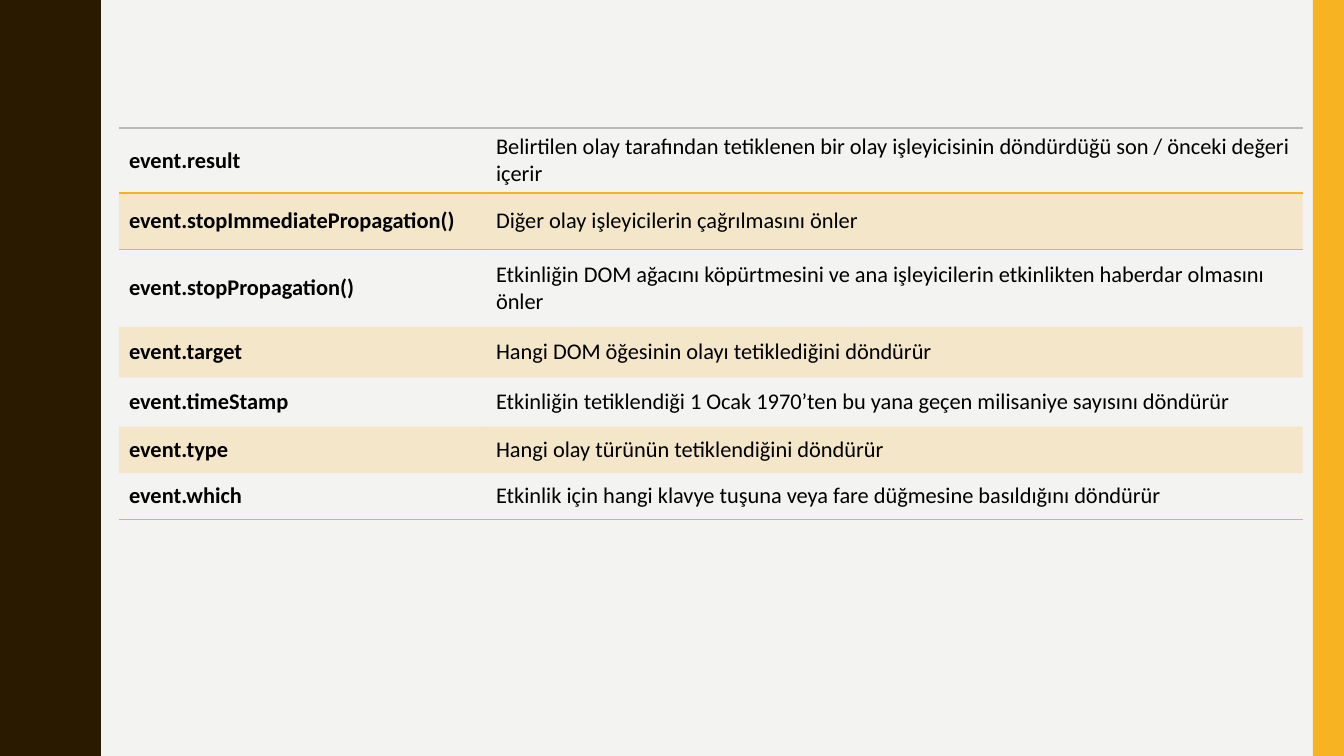
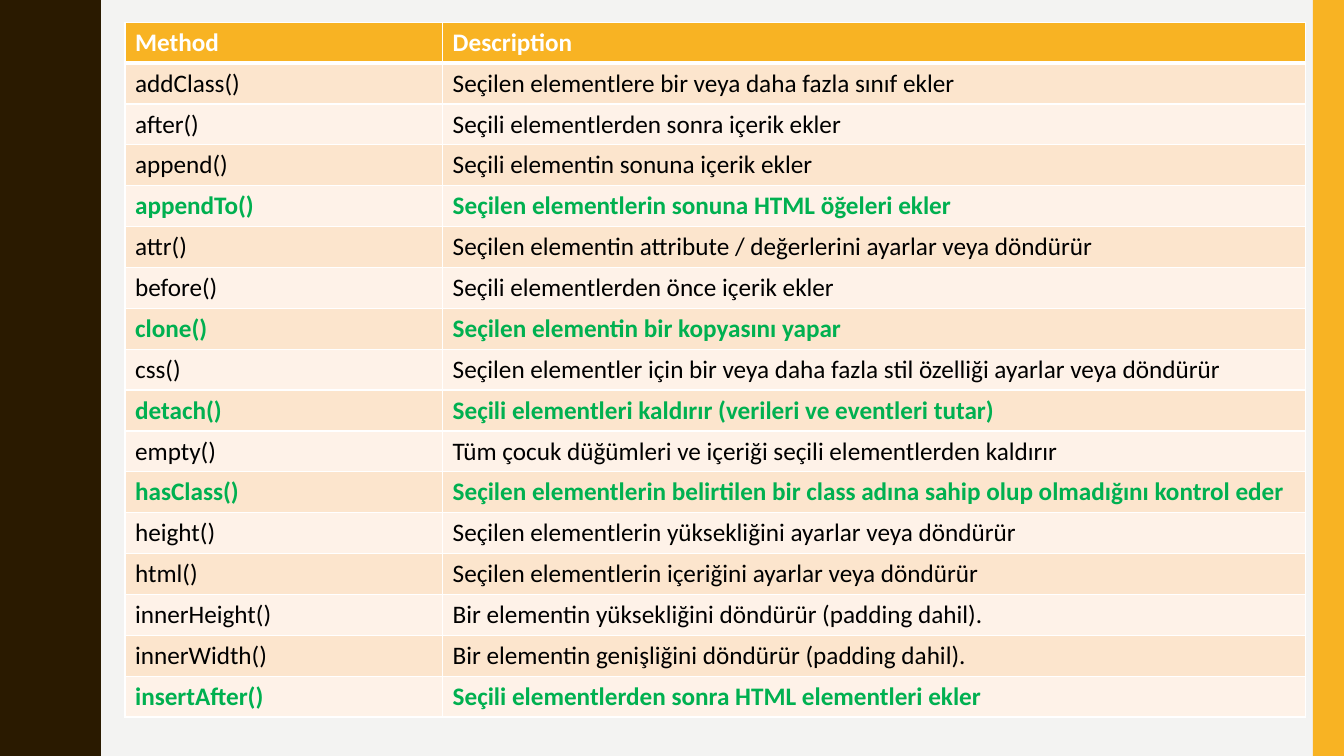
"""Build two reference slides: event members and HTML methods."""
from lxml import etree
from pptx import Presentation
from pptx.dml.color import RGBColor
from pptx.enum import shapes, text
from pptx.oxml import ns
from pptx.util import Inches, Pt

EVENTS = [
    ("event.result", "Belirtilen olay tarafından tetiklenen bir olay işleyicisinin döndürdüğü son / önceki değeri içerir"),
    ("event.stopImmediatePropagation()", "Diğer olay işleyicilerin çağrılmasını önler"),
    ("event.stopPropagation()", "Etkinliğin DOM ağacını köpürtmesini ve ana işleyicilerin etkinlikten haberdar olmasını önler"),
    ("event.target", "Hangi DOM öğesinin olayı tetiklediğini döndürür"),
    ("event.timeStamp", "Etkinliğin tetiklendiği 1 Ocak 1970’ten bu yana geçen milisaniye sayısını döndürür"),
    ("event.type", "Hangi olay türünün tetiklendiğini döndürür"),
    ("event.which", "Etkinlik için hangi klavye tuşuna veya fare düğmesine basıldığını döndürür"),
]
EVENT_HEIGHTS = [0.64, 0.56, 0.77, 0.5, 0.49, 0.46, 0.46]
METHODS = [
    ("Method", "Description"),
    ("addClass()", "Seçilen elementlere bir veya daha fazla sınıf ekler"),
    ("after()", "Seçili elementlerden sonra içerik ekler"),
    ("append()", "Seçili elementin sonuna içerik ekler"),
    ("appendTo()", "Seçilen elementlerin sonuna HTML öğeleri ekler"),
    ("attr()", "Seçilen elementin attribute / değerlerini ayarlar veya döndürür"),
    ("before()", "Seçili elementlerden önce içerik ekler"),
    ("clone()", "Seçilen elementin bir kopyasını yapar"),
    ("css()", "Seçilen elementler için bir veya daha fazla stil özelliği ayarlar veya döndürür"),
    ("detach()", "Seçili elementleri kaldırır (verileri ve eventleri tutar)"),
    ("empty()", "Tüm çocuk düğümleri ve içeriği seçili elementlerden kaldırır"),
    ("hasClass()", "Seçilen elementlerin belirtilen bir class adına sahip olup olmadığını kontrol eder"),
    ("height()", "Seçilen elementlerin yüksekliğini ayarlar veya döndürür"),
    ("html()", "Seçilen elementlerin içeriğini ayarlar veya döndürür"),
    ("innerHeight()", "Bir elementin yüksekliğini döndürür (padding dahil)."),
    ("innerWidth()", "Bir elementin genişliğini döndürür (padding dahil)."),
    ("insertAfter()", "Seçili elementlerden sonra HTML elementleri ekler"),
]
HIGHLIGHTED = {"appendTo()", "clone()", "detach()", "hasClass()", "insertAfter()"}
COLORS = {"back": "F3F3F2", "wave": "2A1A00", "gold": "F8B323", "rule": "B8B8B8",
          "black": "000000", "white": "FFFFFF", "green": "00B050",
          "peach": "FCE5CD", "cream": "FEF2E8"}
FONT = "Calibri"
NO_STYLE = "{2D5ABB26-0587-4C30-8999-92F81FD0307C}"
WIDTH, HEIGHT = 13.33, 7.5
WAVE_PERIOD = 1.5
WAVE_RISE = [(0.78, 0), (0.78, 0.07), (0.79, 0.14), (0.8, 0.2), (0.81, 0.25),
             (0.83, 0.29), (0.85, 0.33), (0.87, 0.38), (0.89, 0.42), (0.91, 0.46),
             (0.93, 0.5), (0.95, 0.55), (0.96, 0.61), (0.97, 0.68)]


def rgb(name):
    return RGBColor.from_string(COLORS[name])


def paint(sp, color):
    sp.shadow.inherit = False
    sp.fill.solid()
    sp.fill.fore_color.rgb = rgb(color)
    sp.line.fill.background()


def add_base(prs):
    s = prs.slides.add_slide(prs.slide_layouts[6])
    s.background.fill.solid()
    s.background.fill.fore_color.rgb = rgb("back")
    fall = [(x, WAVE_PERIOD - y) for x, y in reversed(WAVE_RISE)]
    wave = WAVE_RISE + [(0.97, WAVE_PERIOD / 2)] + fall
    edge = [(x, y + i * WAVE_PERIOD)
            for i in range(round(HEIGHT / WAVE_PERIOD)) for x, y in wave]
    outline = s.shapes.build_freeform(0, 0, scale=Inches(1))
    outline.add_line_segments(edge + [(0, HEIGHT)], close=True)
    paint(outline.convert_to_shape(), "wave")
    bar = s.shapes.add_shape(shapes.MSO_SHAPE.RECTANGLE, Inches(13.02), 0,
                             Inches(0.31), Inches(HEIGHT))
    paint(bar, "gold")
    return s


def add_table(s, left, top, widths, heights):
    frame = s.shapes.add_table(len(heights), len(widths), Inches(left), Inches(top),
                               Inches(sum(widths)), Inches(sum(heights)))
    table = frame.table
    table.first_row = table.horz_banding = False
    table._tbl.tblPr.find(ns.qn("a:tableStyleId")).text = NO_STYLE
    for parts, attr, sizes in ((table.columns, "width", widths), (table.rows, "height", heights)):
        for part, size in zip(parts, sizes):
            setattr(part, attr, Inches(size))
    return table


def set_cell(cell, words, size, color, bold, fill, borders, alpha=100):
    cell.vertical_anchor = text.MSO_ANCHOR.MIDDLE
    r = cell.text_frame.paragraphs[0].add_run()
    r.text = words
    r.font.name, r.font.size, r.font.bold = FONT, Pt(size), bold
    r.font.color.rgb = rgb(color)
    tcPr = cell._tc.get_or_add_tcPr()
    for side in "LRTB":
        if side in borders:
            line_color, width = borders[side]
            ln = etree.SubElement(tcPr, ns.qn("a:ln" + side), w=str(Pt(width)))
            solid = etree.SubElement(ln, ns.qn("a:solidFill"))
            etree.SubElement(solid, ns.qn("a:srgbClr"), val=COLORS[line_color])
    if not fill:
        cell.fill.background()
        return
    cell.fill.solid()
    cell.fill.fore_color.rgb = rgb(fill)
    if alpha < 100:
        clr = tcPr.find(ns.qn("a:solidFill"))[0]
        etree.SubElement(clr, ns.qn("a:alpha"), val=str(alpha * 1000))


def build_events(prs):
    table = add_table(add_base(prs), 1.18, 1.27, [3.64, 8.1], EVENT_HEIGHTS)
    edges = {0: {"T": ("rule", 1), "B": ("gold", 1)},
             1: {"T": ("gold", 1)},
             len(EVENTS) - 1: {"B": ("gold", 1)}}
    for i, row in enumerate(EVENTS):
        for j, words in enumerate(row):
            set_cell(table.cell(i, j), words, 16, "black", j == 0,
                     "gold" if i % 2 else None, edges.get(i, {}), alpha=20)


def build_methods(prs):
    heights = [6.9 / len(METHODS)] * len(METHODS)
    table = add_table(add_base(prs), 1.24, 0.22, [3.15, 8.56], heights)
    for i, row in enumerate(METHODS):
        marked = row[0] in HIGHLIGHTED
        color = "white" if i == 0 else "green" if marked else "black"
        fill = "gold" if i == 0 else "peach" if i % 2 else "cream"
        borders = {side: ("white", 1) for side in "LRTB"}
        if i < 2:
            borders["T" if i else "B"] = ("white", 3)
        for j, words in enumerate(row):
            set_cell(table.cell(i, j), words, 18, color, i == 0 or marked, fill, borders)


prs = Presentation()
prs.slide_width, prs.slide_height = Inches(WIDTH), Inches(HEIGHT)
build_events(prs)
build_methods(prs)
prs.save("out.pptx")
